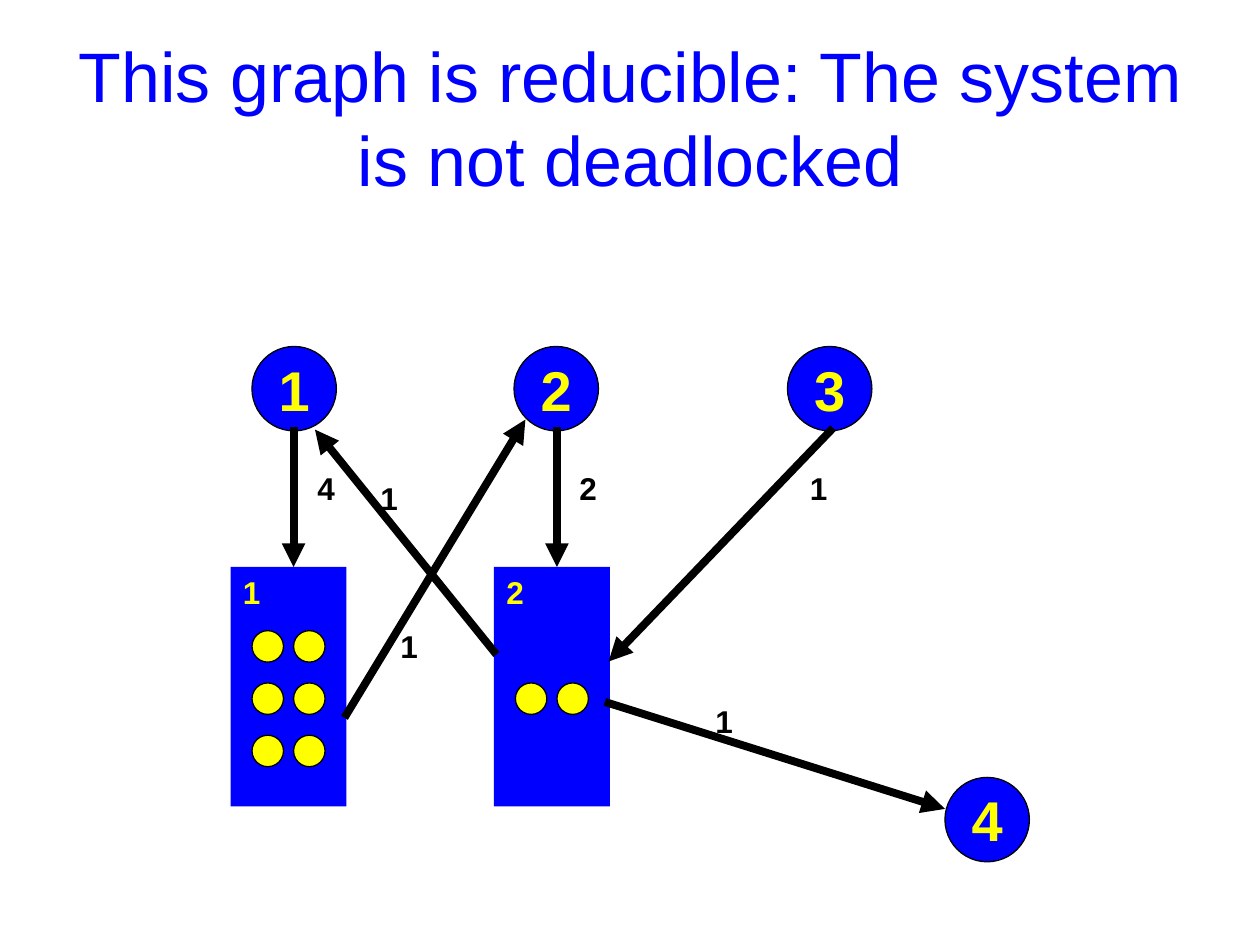
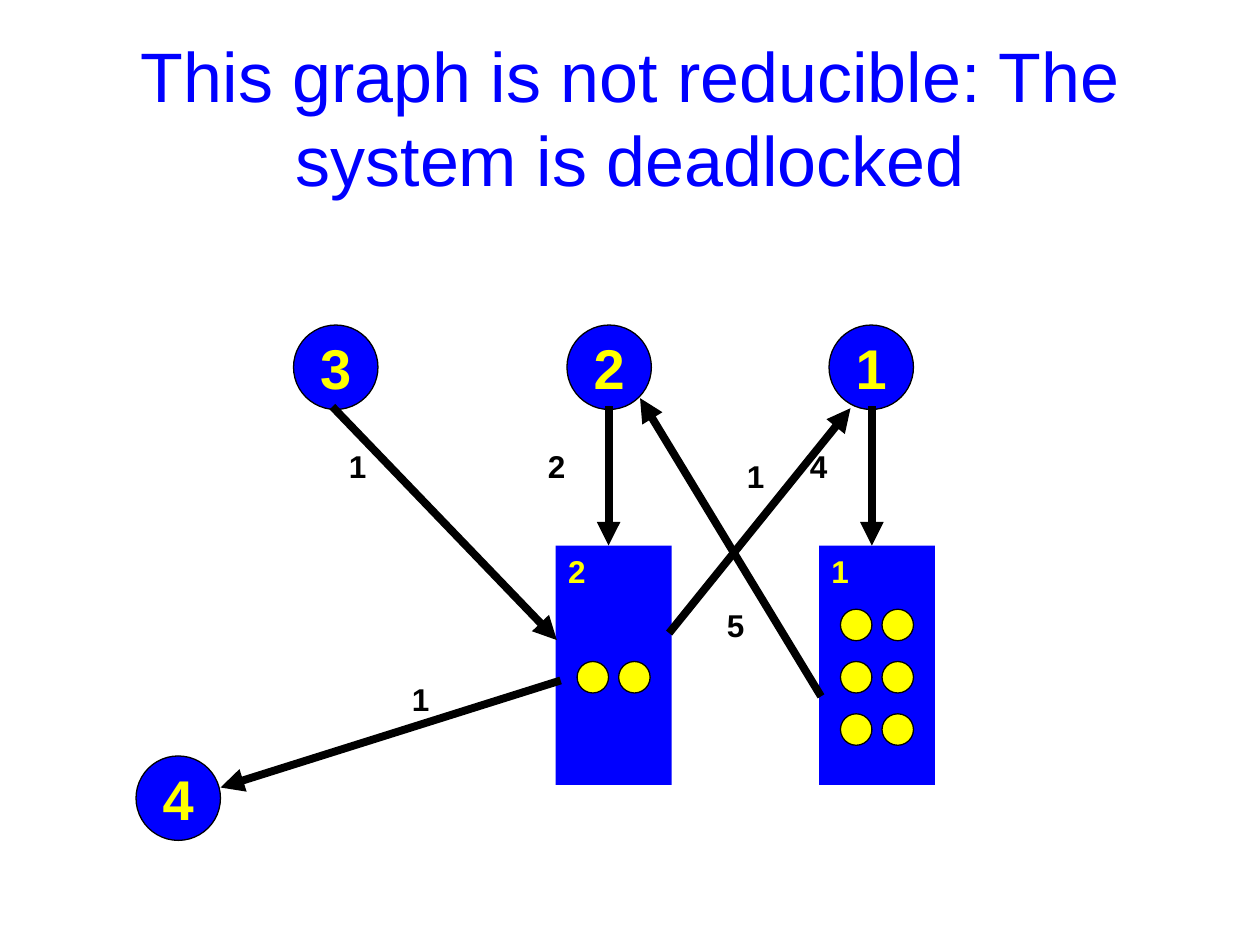
from dataclasses import dataclass

from lxml import etree
from pptx import Presentation
from pptx import util as u
from pptx.dml.color import RGBColor
from pptx.enum import shapes, text
from pptx.oxml.ns import qn

FONT = "Arial"
BLUE, YELLOW, BLACK = "0000FF", "FFFF00", "000000"

PROCESS_SIZE = 0.67
RESOURCE_WIDTH, RESOURCE_HEIGHT = 0.92, 1.9
UNIT_SIZE = 0.25
UNIT_COLUMN_STEP, UNIT_ROW_STEP = 0.33, 0.415
LABEL_HEIGHT = 0.4


@dataclass(frozen=True)
class Process:
    name: str
    left: float
    top: float = 2.75


@dataclass(frozen=True)
class Resource:
    name: str
    left: float
    unit_rows: int
    top: float = 4.5


@dataclass(frozen=True)
class Edge:
    count: str
    start: tuple[float, float]
    end: tuple[float, float]
    label: tuple[float, float]
    label_width: float = 0.5


@dataclass(frozen=True)
class View:
    """Maps graph coordinates to the slide, optionally mirrored left to right."""
    mirror_sum: float | None = None
    rise: float = 0

    def x(self, left: float, width: float = 0) -> float:
        return left if self.mirror_sum is None else self.mirror_sum - left - width

    def box(self, left: float, top: float, width: float, height: float) -> list[u.Length]:
        return [u.Inches(v) for v in (self.x(left, width), top - self.rise, width, height)]

    def point(self, position: tuple[float, float]) -> list[u.Length]:
        return [u.Inches(self.x(position[0])), u.Inches(position[1] - self.rise)]


PROCESSES = [Process("1", 2), Process("2", 4.08), Process("3", 6.25), Process("4", 7.5, 6.17)]
RESOURCES = [Resource("1", 1.83, 3), Resource("2", 3.92, 1)]


def graph_edges(held_by_process_2: str) -> list[Edge]:
    return [
        Edge("4", (2.33, 3.42), (2.33, 4.5), (2.42, 3.67)),
        Edge("2", (4.42, 3.42), (4.42, 4.5), (4.5, 3.67)),
        Edge("1", (6.59, 3.42), (4.83, 5.25), (6.33, 3.67), 0.25),
        Edge("1", (3.92, 5.17), (2.5, 3.41), (2.92, 3.75)),
        Edge("1", (4.83, 5.58), (7.5, 6.42), (5.58, 5.52)),
        Edge(held_by_process_2, (2.75, 5.67), (4.17, 3.33), (3.08, 4.93)),
    ]


def rgb(color: str) -> RGBColor:
    return RGBColor.from_string(color)


def write(frame, words: str, size: float, color: str, bold: bool = True,
          align=text.PP_ALIGN.LEFT, anchor=text.MSO_ANCHOR.TOP, wrap: bool = True) -> None:
    frame.text = words
    frame.word_wrap = wrap
    frame.vertical_anchor = anchor
    paragraph = frame.paragraphs[0]
    paragraph.alignment = align
    paragraph.font.name = FONT
    paragraph.font.size = u.Pt(size)
    paragraph.font.bold = bold
    paragraph.font.color.rgb = rgb(color)


def add_filled(slide, kind, box: list[u.Length], fill: str, outlined: bool = True):
    shape = slide.shapes.add_shape(kind, *box)
    shape.shadow.inherit = False
    shape.fill.solid()
    shape.fill.fore_color.rgb = rgb(fill)
    if outlined:
        shape.line.color.rgb = rgb(BLACK)
        shape.line.width = u.Pt(0.75)
    else:
        shape.line.fill.background()
    return shape


def add_process(slide, view: View, process: Process) -> None:
    circle = add_filled(slide, shapes.MSO_SHAPE.OVAL,
                        view.box(process.left, process.top, PROCESS_SIZE, PROCESS_SIZE), BLUE)
    write(circle.text_frame, process.name, 32, YELLOW, align=text.PP_ALIGN.CENTER,
          anchor=text.MSO_ANCHOR.MIDDLE, wrap=False)


def add_resource(slide, view: View, resource: Resource) -> None:
    """Draws a resource box with its units in two columns, centred on the middle row."""
    block = add_filled(slide, shapes.MSO_SHAPE.RECTANGLE,
                       view.box(resource.left, resource.top, RESOURCE_WIDTH, RESOURCE_HEIGHT),
                       BLUE, outlined=False)
    write(block.text_frame, resource.name, 18, YELLOW)
    first_top = resource.top + 0.92 - (resource.unit_rows - 1) / 2 * UNIT_ROW_STEP
    for row in range(resource.unit_rows):
        for column in range(2):
            unit = view.box(resource.left + 0.17 + column * UNIT_COLUMN_STEP,
                            first_top + row * UNIT_ROW_STEP, UNIT_SIZE, UNIT_SIZE)
            add_filled(slide, shapes.MSO_SHAPE.OVAL, unit, YELLOW)


def add_edge(slide, view: View, edge: Edge) -> None:
    arrow = slide.shapes.add_connector(shapes.MSO_CONNECTOR.STRAIGHT,
                                       *view.point(edge.start), *view.point(edge.end))
    arrow.line.color.rgb = rgb(BLACK)
    arrow.line.width = u.Pt(4.5)
    properties = arrow._element.spPr
    line = properties.find(qn("a:ln"))
    line.set("cap", "sq")
    etree.SubElement(line, qn("a:tailEnd"), type="triangle")
    etree.SubElement(properties, qn("a:effectLst"))

    label = slide.shapes.add_textbox(*view.box(*edge.label, edge.label_width, LABEL_HEIGHT))
    write(label.text_frame, edge.count, 18, BLACK)


def add_graph_slide(deck, heading: str, view: View, held_by_process_2: str) -> None:
    slide = deck.slides.add_slide(deck.slide_layouts[5])
    title = slide.shapes.title
    title.left, title.top = u.Inches(0.5), u.Inches(0.3)
    title.width, title.height = u.Inches(9), u.Inches(1.25)
    write(title.text_frame, heading, 40, BLUE, bold=False, align=text.PP_ALIGN.CENTER,
          anchor=text.MSO_ANCHOR.MIDDLE)
    for process in PROCESSES:
        add_process(slide, view, process)
    for resource in RESOURCES:
        add_resource(slide, view, resource)
    for edge in graph_edges(held_by_process_2):
        add_edge(slide, view, edge)


def main() -> None:
    deck = Presentation()
    deck.slide_width, deck.slide_height = u.Inches(10), u.Inches(7.5)
    add_graph_slide(deck, "This graph is reducible: The system is not deadlocked",
                    View(), held_by_process_2="1")
    add_graph_slide(deck, "This graph is not reducible: The system is deadlocked",
                    View(mirror_sum=9.25, rise=0.17), held_by_process_2="5")
    deck.save("out.pptx")


if __name__ == "__main__":
    main()
